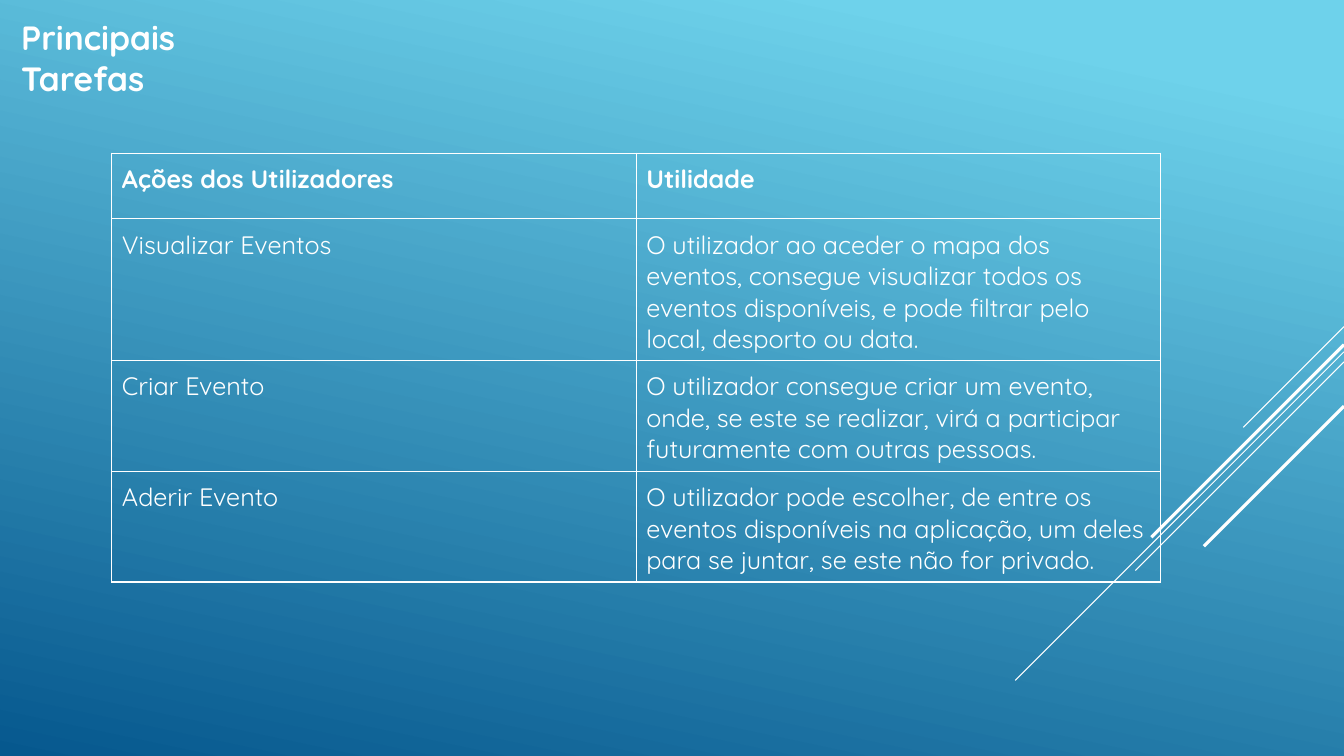
from lxml.etree import SubElement
from pptx import Presentation
from pptx.dml.color import RGBColor
from pptx.enum.shapes import MSO_CONNECTOR
from pptx.enum.text import MSO_ANCHOR, PP_ALIGN
from pptx.oxml.ns import qn
from pptx.util import Inches, Pt

WHITE = RGBColor(0xFF, 0xFF, 0xFF)
SKY = RGBColor(0x6E, 0xD2, 0xEB)
DEEP_BLUE = RGBColor(0x06, 0x58, 0x8E)
FONT = "Quicksand"

SLIDE_WIDTH = 13.33
ROW_HEIGHTS = (0.65, 1.4, 1.1, 1.1)
COLUMN_WIDTH = 5.2
TASKS = (
    ("Ações dos Utilizadores", "Utilidade"),
    ("Visualizar Eventos",
     "O utilizador ao aceder o mapa dos eventos, consegue visualizar todos os "
     "eventos disponíveis, e pode filtrar pelo local, desporto ou data."),
    ("Criar Evento",
     "O utilizador consegue criar um evento, onde, se este se realizar, virá a "
     "participar futuramente com outras pessoas."),
    ("Aderir Evento",
     "O utilizador pode escolher, de entre os eventos disponíveis na aplicação, "
     "um deles para se juntar, se este não for privado."),
)
# Start height at the right edge, horizontal run, line width in points
DIAGONALS = (
    (3.24, 1.0, 0.75),
    (3.49, 3.26, 0.75),
    (3.59, 2.07, 0.75),
    (3.42, 1.91, 2.25),
    (4.03, 1.39, 2.25),
)


def write_text(text_frame, text, size=18, bold=False, color=WHITE):
    paragraph = text_frame.paragraphs[0]
    paragraph.alignment = PP_ALIGN.LEFT
    run = paragraph.add_run()
    run.text = text
    run.font.name = FONT
    run.font.size = Pt(size)
    run.font.bold = bold
    run.font.color.rgb = color


def paint_background(slide):
    fill = slide.background.fill
    fill.gradient()
    fill.gradient_angle = 360 - 102
    for stop, position, color in zip(fill.gradient_stops, (0.1, 1), (SKY, DEEP_BLUE)):
        stop.position = position
        stop.color.rgb = color


def add_diagonal(slide, top, run, width):
    """Draw a 45-degree line down and left from the right edge."""
    line = slide.shapes.add_connector(
        MSO_CONNECTOR.STRAIGHT, Inches(SLIDE_WIDTH), Inches(top),
        Inches(SLIDE_WIDTH - run), Inches(top + run))
    line.line.color.rgb = WHITE
    line.line.width = Pt(width)
    SubElement(line._element.spPr, qn("a:effectLst"))


def place_title(slide, text):
    title = slide.shapes.title
    title.left, title.top = Inches(0.11), Inches(0.12)
    title.width, title.height = Inches(2.8), Inches(0.9)
    title.text_frame.word_wrap = True
    title.text_frame.vertical_anchor = MSO_ANCHOR.TOP
    write_text(title.text_frame, text, size=24, bold=True)


def outline_cell(cell, color=WHITE, width=1):
    properties = cell._tc.get_or_add_tcPr()
    for side in ("lnL", "lnR", "lnT", "lnB"):
        border = SubElement(properties, qn(f"a:{side}"), w=str(Pt(width)))
        fill = SubElement(border, qn("a:solidFill"))
        SubElement(fill, qn("a:srgbClr"), val=str(color))


def add_task_table(slide):
    table = slide.shapes.add_table(
        len(TASKS), 2, Inches(1.11), Inches(1.52),
        Inches(2 * COLUMN_WIDTH), Inches(sum(ROW_HEIGHTS))).table
    table.horz_banding = False
    for column in table.columns:
        column.width = Inches(COLUMN_WIDTH)
    for row_index, (row, height, texts) in enumerate(zip(table.rows, ROW_HEIGHTS, TASKS)):
        row.height = Inches(height)
        for cell, text in zip(row.cells, texts):
            cell.margin_left = cell.margin_right = cell.margin_top = Inches(0.1)
            cell.margin_bottom = Inches(0.05)
            outline_cell(cell)
            cell.fill.background()
            write_text(cell.text_frame, text, bold=row_index == 0)


def main():
    presentation = Presentation()
    presentation.slide_width = Inches(SLIDE_WIDTH)
    presentation.slide_height = Inches(7.5)
    slide = presentation.slides.add_slide(presentation.slide_layouts[5])
    paint_background(slide)
    for diagonal in DIAGONALS:
        add_diagonal(slide, *diagonal)
    place_title(slide, "Principais Tarefas")
    add_task_table(slide)
    presentation.save("out.pptx")


if __name__ == "__main__":
    main()
